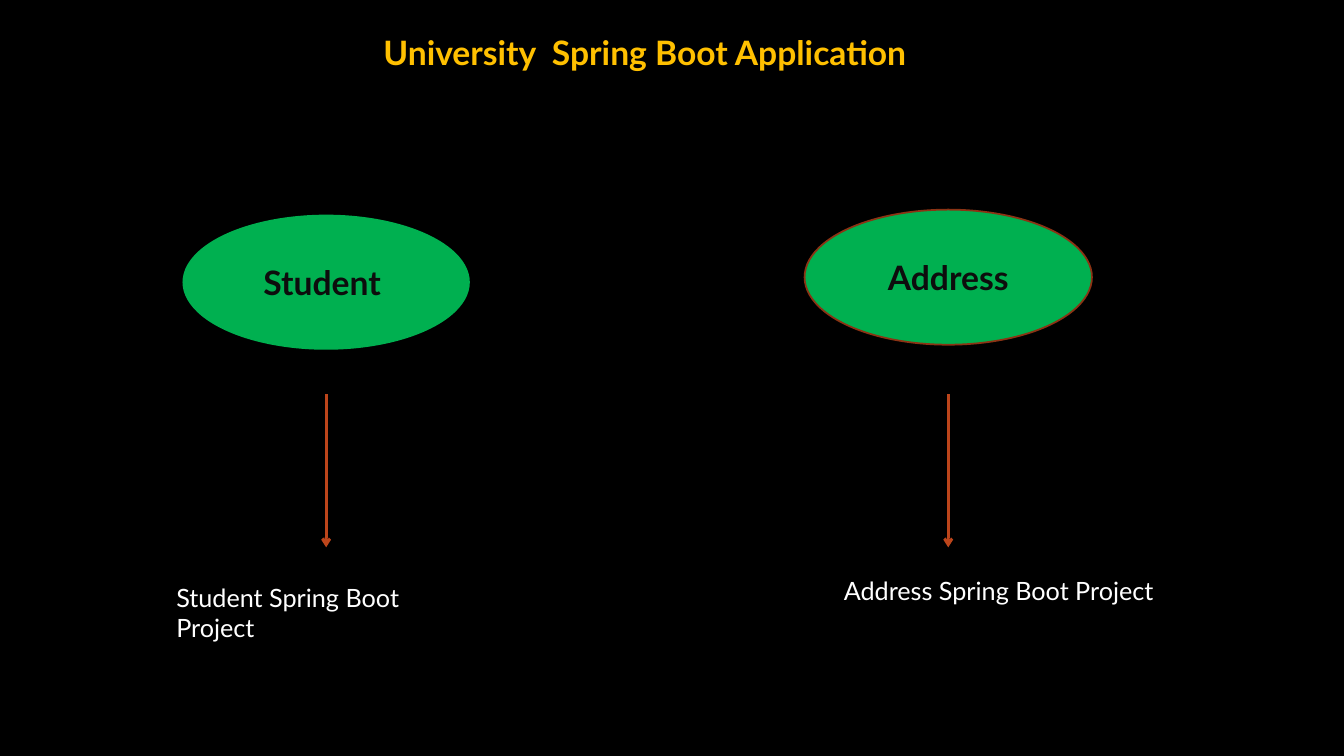
import dataclasses
from typing import Optional

import lxml.etree
import pptx
import pptx.dml.color
import pptx.enum.shapes
import pptx.enum.text
import pptx.oxml.ns
import pptx.slide
import pptx.text.text
import pptx.util

Inches = pptx.util.Inches
Pt = pptx.util.Pt
qn = pptx.oxml.ns.qn
Anchor = pptx.enum.text.MSO_ANCHOR
Align = pptx.enum.text.PP_ALIGN

ELLIPSE_WIDTH = 2.85
ELLIPSE_HEIGHT = 1.34
ARROW_TOP = 3.91
ARROW_BOTTOM = 5.43


@dataclasses.dataclass
class Service:
    entity: str
    left: float
    top: float
    outline: Optional[str]
    project: str
    project_left: float
    project_top: float
    project_width: float


SERVICES = [
    Service("Student ", 1.81, 2.13, None, "Student Spring Boot Project", 1.65, 5.73, 3.19),
    Service("Address", 7.98, 2.08, "8B3314", "Address Spring Boot Project", 8.27, 5.66, 4.62),
]


def rgb(value: str) -> pptx.dml.color.RGBColor:
    return pptx.dml.color.RGBColor.from_string(value)


def write(frame: pptx.text.text.TextFrame, text: str, size: float, color: str,
          bold: bool, align: Align, anchor: Anchor) -> None:
    frame.word_wrap = True
    frame.auto_size = pptx.enum.text.MSO_AUTO_SIZE.NONE
    frame.vertical_anchor = anchor
    frame.text = text
    paragraph = frame.paragraphs[0]
    paragraph.alignment = align
    paragraph.font.name = "Lato"
    paragraph.font.size = Pt(size)
    paragraph.font.bold = bold
    paragraph.font.color.rgb = rgb(color)


def draw_arrow(slide: pptx.slide.Slide, x: float) -> None:
    arrow = slide.shapes.add_connector(
        pptx.enum.shapes.MSO_CONNECTOR.STRAIGHT,
        Inches(x), Inches(ARROW_TOP), Inches(x), Inches(ARROW_BOTTOM))
    arrow.line.color.rgb = rgb("BC451B")
    arrow.line.width = Pt(2)
    lxml.etree.SubElement(arrow.line._get_or_add_ln(), qn("a:tailEnd"), type="arrow")
    lxml.etree.SubElement(arrow._element.spPr, qn("a:effectLst"))


def draw_service(slide: pptx.slide.Slide, service: Service) -> None:
    entity = slide.shapes.add_shape(
        pptx.enum.shapes.MSO_SHAPE.OVAL, Inches(service.left), Inches(service.top),
        Inches(ELLIPSE_WIDTH), Inches(ELLIPSE_HEIGHT))
    entity.shadow.inherit = False
    entity.fill.solid()
    entity.fill.fore_color.rgb = rgb("00B050")
    if service.outline:
        entity.line.color.rgb = rgb(service.outline)
        entity.line.width = Pt(1.25)
    else:
        entity.line.fill.background()
    write(entity.text_frame, service.entity, 24, "0D0D0D", True, Align.CENTER, Anchor.MIDDLE)

    draw_arrow(slide, service.left + ELLIPSE_WIDTH / 2)

    project = slide.shapes.add_textbox(
        Inches(service.project_left), Inches(service.project_top),
        Inches(service.project_width), Inches(0.4))
    write(project.text_frame, service.project, 18, "FFFFFF", False, Align.LEFT, Anchor.TOP)


def main() -> None:
    presentation = pptx.Presentation()
    presentation.slide_width = Inches(13.33)
    presentation.slide_height = Inches(7.5)
    slide = presentation.slides.add_slide(presentation.slide_layouts[5])
    slide.background.fill.solid()
    slide.background.fill.fore_color.rgb = rgb("000000")

    title = slide.shapes.title
    title.left, title.top = Inches(3.06), Inches(0.27)
    title.width, title.height = Inches(6.67), Inches(0.5)
    write(title.text_frame, "University  Spring Boot Application", 24, "FFC000",
          True, Align.CENTER, Anchor.TOP)

    for service in SERVICES:
        draw_service(slide, service)
    presentation.save("out.pptx")


if __name__ == "__main__":
    main()
